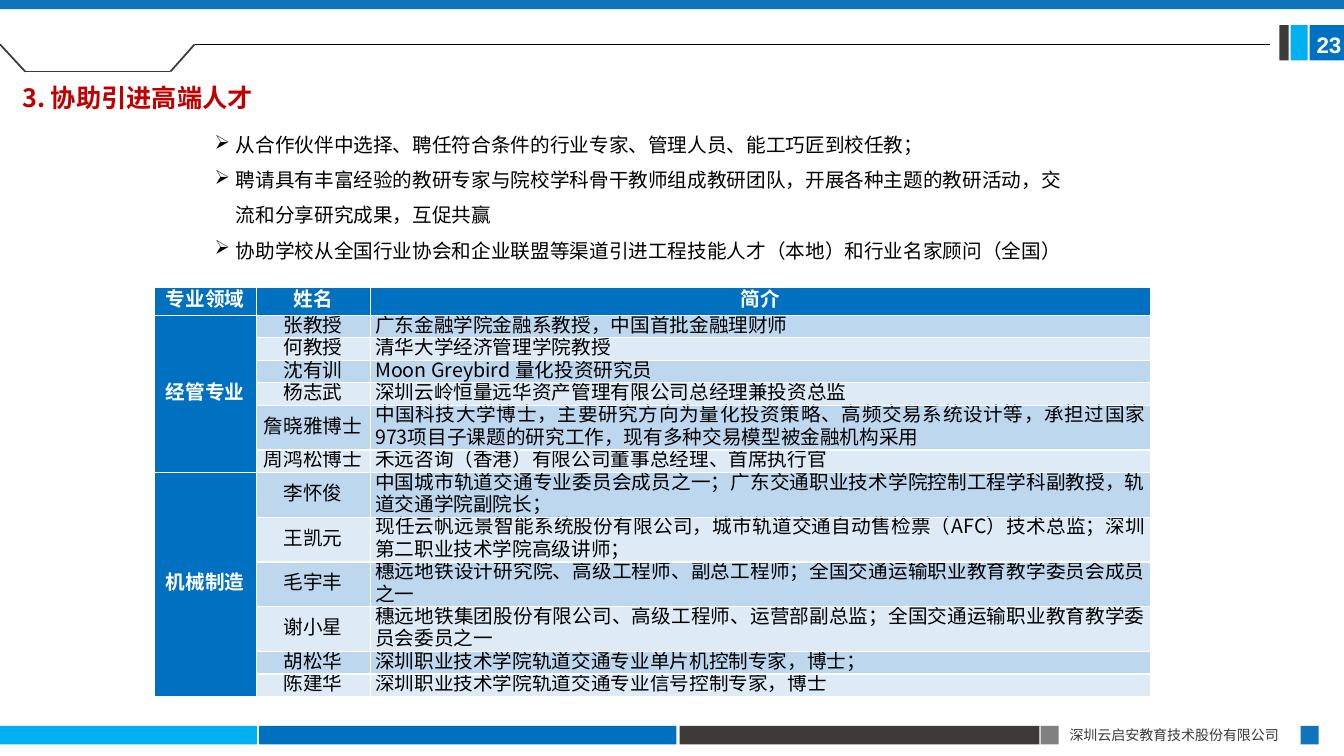
from dataclasses import dataclass
from itertools import pairwise

from lxml import etree
from pptx import Presentation
from pptx.dml.color import RGBColor
from pptx.enum.shapes import MSO_CONNECTOR, MSO_SHAPE
from pptx.enum.text import MSO_ANCHOR, MSO_AUTO_SIZE, PP_ALIGN
from pptx.oxml.ns import qn
from pptx.util import Inches, Pt

LEFT, CENTER, JUSTIFY = PP_ALIGN.LEFT, PP_ALIGN.CENTER, PP_ALIGN.JUSTIFY
TOP, MIDDLE = MSO_ANCHOR.TOP, MSO_ANCHOR.MIDDLE
NO_AUTOFIT = MSO_AUTO_SIZE.NONE
RECTANGLE, STRAIGHT = MSO_SHAPE.RECTANGLE, MSO_CONNECTOR.STRAIGHT

WHITE = RGBColor(0xFF, 0xFF, 0xFF)
BLACK = RGBColor(0x00, 0x00, 0x00)
BLUE = RGBColor(0x00, 0x70, 0xC0)
EDGE_BLUE = RGBColor(0x10, 0x74, 0xBB)
CYAN = RGBColor(0x00, 0xB0, 0xF0)
CHARCOAL = RGBColor(0x3E, 0x3A, 0x39)
GREY = RGBColor(0x80, 0x80, 0x80)
RED = RGBColor(0xC0, 0x00, 0x00)
BANDS = (RGBColor(0xBD, 0xD7, 0xEE), RGBColor(0xDE, 0xEB, 0xF7))

HAN = "Noto Sans CJK SC"
SLIDE_WIDTH, SLIDE_HEIGHT = Inches(13.33), Inches(7.5)


@dataclass(frozen=True)
class Box:
    """Position and size in percent of the slide's width and height."""
    left: float
    top: float
    width: float
    height: float

    def lengths(self) -> tuple[int, int, int, int]:
        return across(self.left), down(self.top), across(self.width), down(self.height)


@dataclass(frozen=True)
class Bar:
    box: Box
    color: RGBColor


@dataclass(frozen=True)
class TextStyle:
    size: int
    color: RGBColor
    bold: bool = False
    font: str = HAN


@dataclass(frozen=True)
class Expert:
    name: str
    profile: str
    lines: int = 1


FOOTER_TOP, FOOTER_HEIGHT = 96, 2.45
BADGE_TOP, BADGE_HEIGHT = 3.33, 4.67
BARS = [Bar(Box(0, 0, 100, 1.2), EDGE_BLUE)] + [
    Bar(Box(left, FOOTER_TOP, width, FOOTER_HEIGHT), color)
    for left, width, color in (
        (0, 19.13, CYAN), (19.28, 31.06, BLUE), (50.56, 26.78, CHARCOAL),
        (77.42, 1.35, GREY), (96.77, 1.35, EDGE_BLUE))
] + [
    Bar(Box(left, BADGE_TOP, width, BADGE_HEIGHT), color)
    for left, width, color in (
        (95.2, 0.68, CHARCOAL), (96.02, 1.28, CYAN), (97.45, 2.55, BLUE))
]
RULE_Y = 5.87
NOTCH = ((0, RULE_Y), (1.88, 9.47), (12.68, 9.47), (14.48, RULE_Y))
RULE = (NOTCH[-1], (94.52, RULE_Y))

TITLE_BOX = Box(0.9, 10.27, 18.9, 5.33)
TITLE_STYLE = TextStyle(18, RED, bold=True)
PAGE_BOX = Box(97.22, 3.47, 3.75, 4.93)
PAGE_STYLE = TextStyle(16, WHITE, bold=True, font="Arial")
COMPANY_BOX = Box(78.84, 95.47, 18, 3.6)
COMPANY_STYLE = TextStyle(10, CHARCOAL)
MEASURES_BOX = Box(15.45, 15.6, 64.14, 19.73)
BODY_STYLE = TextStyle(14, BLACK)
HEAD_STYLE = TextStyle(14, WHITE, bold=True)

MEASURES = (
    "从合作伙伴中选择、聘任符合条件的行业专家、管理人员、能工巧匠到校任教；",
    "聘请具有丰富经验的教研专家与院校学科骨干教师组成教研团队，开展各种主题的教研活动，交流和分享研究成果，互促共赢",
    "协助学校从全国行业协会和企业联盟等渠道引进工程技能人才（本地）和行业名家顾问（全国）",
)
HEADINGS = ("专业领域", "姓名", "简介")
COLUMN_SHARES = (7.58, 8.48, 58.06)
TABLE_LEFT, TABLE_TOP, HEADING_HEIGHT = 11.48, 38, 3.73
LINE_PITCH = Pt(16)
FIELDS = {
    "经管专业": (
        Expert("张教授", "广东金融学院金融系教授，中国首批金融理财师"),
        Expert("何教授", "清华大学经济管理学院教授"),
        Expert("沈有训", "Moon Greybird 量化投资研究员"),
        Expert("杨志武", "深圳云岭恒量远华资产管理有限公司总经理兼投资总监"),
        Expert("詹晓雅博士", "中国科技大学博士，主要研究方向为量化投资策略、高频交易系统设计等，"
               "承担过国家973项目子课题的研究工作，现有多种交易模型被金融机构采用", 2),
        Expert("周鸿松博士", "禾远咨询（香港）有限公司董事总经理、首席执行官"),
    ),
    "机械制造": (
        Expert("李怀俊", "中国城市轨道交通专业委员会成员之一；"
               "广东交通职业技术学院控制工程学科副教授，轨道交通学院副院长；", 2),
        Expert("王凯元", "现任云帆远景智能系统股份有限公司，城市轨道交通自动售检票（AFC）技术总监；"
               "深圳第二职业技术学院高级讲师；", 2),
        Expert("毛宇丰", "穗远地铁设计研究院、高级工程师、副总工程师；"
               "全国交通运输职业教育教学委员会成员之一", 2),
        Expert("谢小星", "穗远地铁集团股份有限公司、高级工程师、运营部副总监；"
               "全国交通运输职业教育教学委员会委员之一", 2),
        Expert("胡松华", "深圳职业技术学院轨道交通专业单片机控制专家，博士；"),
        Expert("陈建华", "深圳职业技术学院轨道交通专业信号控制专家，博士"),
    ),
}


def across(percent: float) -> int:
    return round(SLIDE_WIDTH * percent / 100)


def down(percent: float) -> int:
    return round(SLIDE_HEIGHT * percent / 100)


def set_all(target, values: dict) -> None:
    for attribute, value in values.items():
        setattr(target, attribute, value)


def write(paragraph, text: str, style: TextStyle, align=LEFT, spacing=1.0) -> None:
    set_all(paragraph, {"alignment": align, "line_spacing": spacing})
    run = paragraph.add_run()
    run.text = text
    set_all(run.font, {"size": Pt(style.size), "bold": style.bold, "name": style.font})
    run.font.color.rgb = style.color
    # East Asian glyphs take their typeface from a separate element.
    etree.SubElement(run.font._element, qn("a:ea"), typeface=style.font)


def add_bar(slide, bar: Bar) -> None:
    shape = slide.shapes.add_shape(RECTANGLE, *bar.box.lengths())
    shape.shadow.inherit = False
    shape.fill.solid()
    shape.fill.fore_color.rgb = bar.color
    shape.line.fill.background()


def add_polyline(slide, points, color: RGBColor, width: float) -> None:
    for (x1, y1), (x2, y2) in pairwise(points):
        segment = slide.shapes.add_connector(
            STRAIGHT, across(x1), down(y1), across(x2), down(y2))
        segment.line.color.rgb = color
        segment.line.width = Pt(width)
        etree.SubElement(segment._element.spPr, qn("a:effectLst"))


def add_text(slide, box: Box, text: str, style: TextStyle, align=LEFT) -> None:
    frame = slide.shapes.add_textbox(*box.lengths()).text_frame
    frame.word_wrap = True
    write(frame.paragraphs[0], text, style, align)


def add_title(slide, text: str) -> None:
    title = slide.shapes.title
    set_all(title, dict(zip(("left", "top", "width", "height"), TITLE_BOX.lengths())))
    set_all(title.text_frame, {"word_wrap": True, "auto_size": NO_AUTOFIT,
                               "vertical_anchor": TOP})
    write(title.text_frame.paragraphs[0], text, TITLE_STYLE)


def add_measures(slide) -> None:
    frame = slide.shapes.add_textbox(*MEASURES_BOX.lengths()).text_frame
    side, edge, indent = Inches(0.07), Inches(0.03), Inches(0.21)
    set_all(frame, {"word_wrap": True, "margin_left": side, "margin_right": side,
                    "margin_top": edge, "margin_bottom": edge})
    for index, measure in enumerate(MEASURES):
        paragraph = frame.add_paragraph() if index else frame.paragraphs[0]
        write(paragraph, measure, BODY_STYLE, spacing=1.5)
        properties = paragraph._p.get_or_add_pPr()
        properties.set("marL", str(indent))
        properties.set("indent", str(-indent))
        etree.SubElement(properties, qn("a:buChar"), char="➢")


def fill_cell(cell, text: str, style: TextStyle, fill: RGBColor, align=CENTER) -> None:
    side = Inches(0.07 if style.bold else 0.05)
    set_all(cell, {"margin_left": side, "margin_right": side, "margin_top": 0,
                   "margin_bottom": 0, "vertical_anchor": MIDDLE})
    cell.fill.solid()
    cell.fill.fore_color.rgb = fill
    write(cell.text_frame.paragraphs[0], text, style, align, LINE_PITCH)


def add_experts_table(slide) -> None:
    experts = [expert for group in FIELDS.values() for expert in group]
    height = down(HEADING_HEIGHT) + LINE_PITCH * sum(e.lines for e in experts)
    table = slide.shapes.add_table(
        len(experts) + 1, len(HEADINGS), across(TABLE_LEFT), down(TABLE_TOP),
        across(sum(COLUMN_SHARES)), height).table
    for column, share in zip(table.columns, COLUMN_SHARES):
        column.width = across(share)
    table.rows[0].height = down(HEADING_HEIGHT)
    for column, heading in enumerate(HEADINGS):
        fill_cell(table.cell(0, column), heading, HEAD_STYLE, BLUE)
    for row, expert in enumerate(experts, start=1):
        table.rows[row].height = LINE_PITCH * expert.lines
        band = BANDS[(row - 1) % 2]
        fill_cell(table.cell(row, 1), expert.name, BODY_STYLE, band)
        fill_cell(table.cell(row, 2), expert.profile, BODY_STYLE, band, JUSTIFY)
    first = 1
    for field, group in FIELDS.items():
        table.cell(first, 0).merge(table.cell(first + len(group) - 1, 0))
        fill_cell(table.cell(first, 0), field, HEAD_STYLE, BLUE)
        first += len(group)


def main() -> None:
    deck = Presentation()
    set_all(deck, {"slide_width": SLIDE_WIDTH, "slide_height": SLIDE_HEIGHT})
    slide = deck.slides.add_slide(deck.slide_layouts.get_by_name("Title Only"))
    for bar in BARS:
        add_bar(slide, bar)
    add_polyline(slide, NOTCH, CHARCOAL, 1.25)
    add_polyline(slide, RULE, BLACK, 0.5)
    add_text(slide, COMPANY_BOX, "深圳云启安教育技术股份有限公司", COMPANY_STYLE, JUSTIFY)
    add_text(slide, PAGE_BOX, "23", PAGE_STYLE)
    add_title(slide, "3. 协助引进高端人才")
    add_measures(slide)
    add_experts_table(slide)
    deck.save("out.pptx")


if __name__ == "__main__":
    main()
